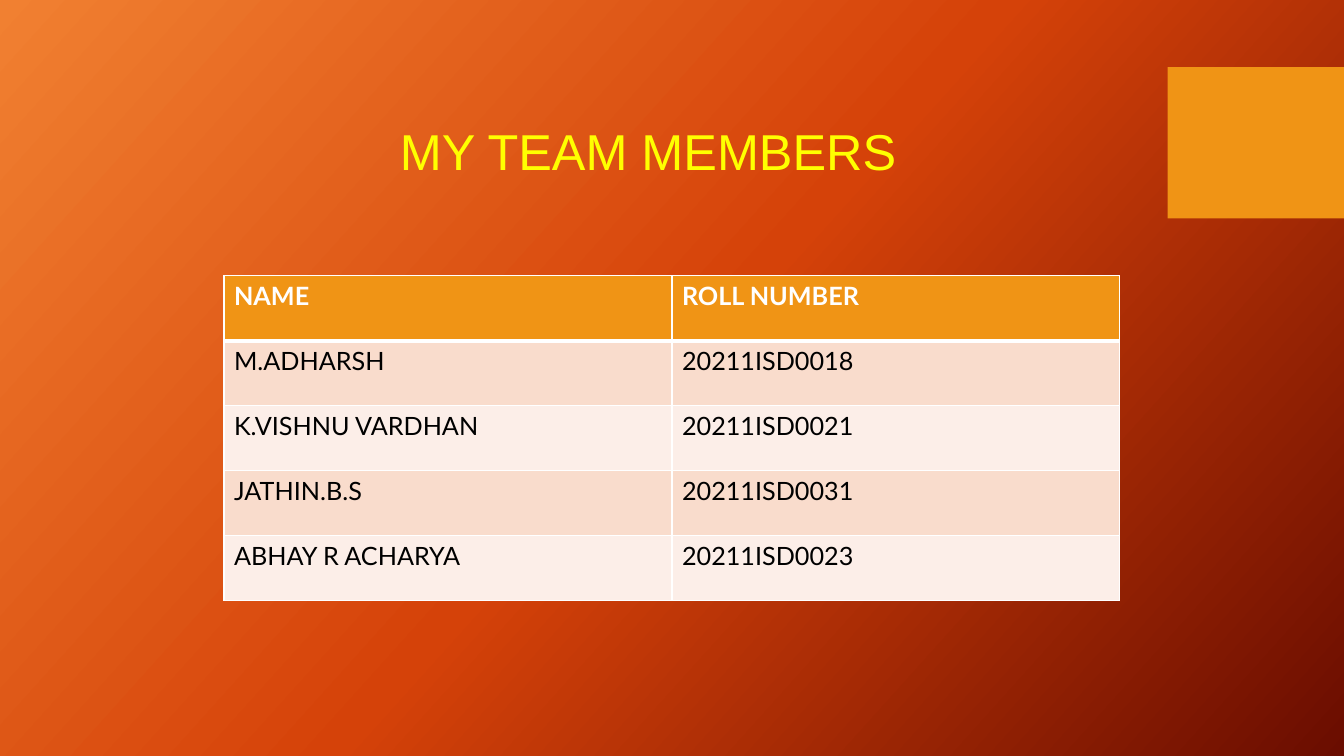
from copy import deepcopy
from dataclasses import dataclass

from lxml import etree
from pptx import Presentation
from pptx.dml.color import RGBColor
from pptx.enum import shapes, text
from pptx.oxml.ns import qn
from pptx.util import Pt

WHITE = RGBColor(0xFF, 0xFF, 0xFF)
BLACK = RGBColor(0x00, 0x00, 0x00)
YELLOW = RGBColor(0xFF, 0xFF, 0x00)
AMBER = RGBColor(0xF0, 0x94, 0x15)
PEACH = RGBColor(0xF9, 0xDC, 0xCC)
PALE_PEACH = RGBColor(0xFC, 0xEE, 0xE8)
BACKGROUND_COLORS = (
    RGBColor(0xF1, 0x80, 0x31),
    RGBColor(0xD5, 0x42, 0x09),
    RGBColor(0x6A, 0x0D, 0x00),
)
COLUMN_WIDTH = 320
ROW_HEIGHT = 46.4
THIN, THICK = 1, 3


@dataclass
class Member:
    name: str
    roll_number: str


MEMBERS = [
    Member("M.ADHARSH", "20211ISD0018"),
    Member("K.VISHNU VARDHAN", "20211ISD0021"),
    Member("JATHIN.B.S", "20211ISD0031"),
    Member("ABHAY R ACHARYA", "20211ISD0023"),
]


def set_background(slide) -> None:
    fill = slide.background.fill
    fill.gradient()
    fill.gradient_angle = 360 - 42  # python-pptx counts counter-clockwise
    stop_list = next(slide.element.iter(qn("a:gsLst")))
    stop_list.insert(1, deepcopy(stop_list[0]))
    for i, (stop, color) in enumerate(zip(fill.gradient_stops, BACKGROUND_COLORS)):
        stop.position = i / 2
        stop.color.rgb = color


def add_accent(slide) -> None:
    sp = slide.shapes.add_shape(
        shapes.MSO_SHAPE.RECTANGLE, Pt(834), Pt(48), Pt(126), Pt(108))
    sp.shadow.inherit = False
    sp.fill.solid()
    sp.fill.fore_color.rgb = AMBER
    sp.line.fill.background()


def format_run(r, font: str, size: float, color: RGBColor, bold: bool = False) -> None:
    r.font.name = font
    r.font.size = Pt(size)
    r.font.color.rgb = color
    r.font.bold = bold


def add_title(slide) -> None:
    tf = slide.shapes.add_textbox(Pt(278.6), Pt(82), Pt(438), Pt(51)).text_frame
    tf.word_wrap = True
    tf.auto_size = text.MSO_AUTO_SIZE.SHAPE_TO_FIT_TEXT
    tf.text = "MY TEAM MEMBERS"
    format_run(tf.paragraphs[0].runs[0], "Arial", 36, YELLOW)


def add_borders(cell, top: float, bottom: float) -> None:
    tc_pr = cell._tc.get_or_add_tcPr()
    for side, width in (("L", THIN), ("R", THIN), ("T", top), ("B", bottom)):
        line = etree.SubElement(tc_pr, qn(f"a:ln{side}"), w=str(Pt(width)))
        fill = etree.SubElement(line, qn("a:solidFill"))
        etree.SubElement(fill, qn("a:srgbClr"), val=str(WHITE))


def add_members_table(slide) -> None:
    rows = [Member("NAME", "ROLL NUMBER"), *MEMBERS]
    table = slide.shapes.add_table(
        len(rows), 2, Pt(160), Pt(197), Pt(2 * COLUMN_WIDTH),
        Pt(len(rows) * ROW_HEIGHT)).table
    for column in table.columns:
        column.width = Pt(COLUMN_WIDTH)
    for i, member in enumerate(rows):
        table.rows[i].height = Pt(ROW_HEIGHT)
        header = i == 0
        band = AMBER if header else PEACH if i % 2 else PALE_PEACH
        for j, value in enumerate((member.name, member.roll_number)):
            cell = table.cell(i, j)
            add_borders(cell, THICK if i == 1 else THIN, THICK if header else THIN)
            cell.fill.solid()
            cell.fill.fore_color.rgb = band
            cell.text_frame.text = value
            r = cell.text_frame.paragraphs[0].runs[0]
            format_run(r, "Lato", 18, WHITE if header else BLACK, header)


def main() -> None:
    prs = Presentation()
    prs.slide_width, prs.slide_height = Pt(960), Pt(540)
    slide = prs.slides.add_slide(prs.slide_layouts[6])
    set_background(slide)
    add_accent(slide)
    add_title(slide)
    add_members_table(slide)
    prs.save("out.pptx")


if __name__ == "__main__":
    main()
